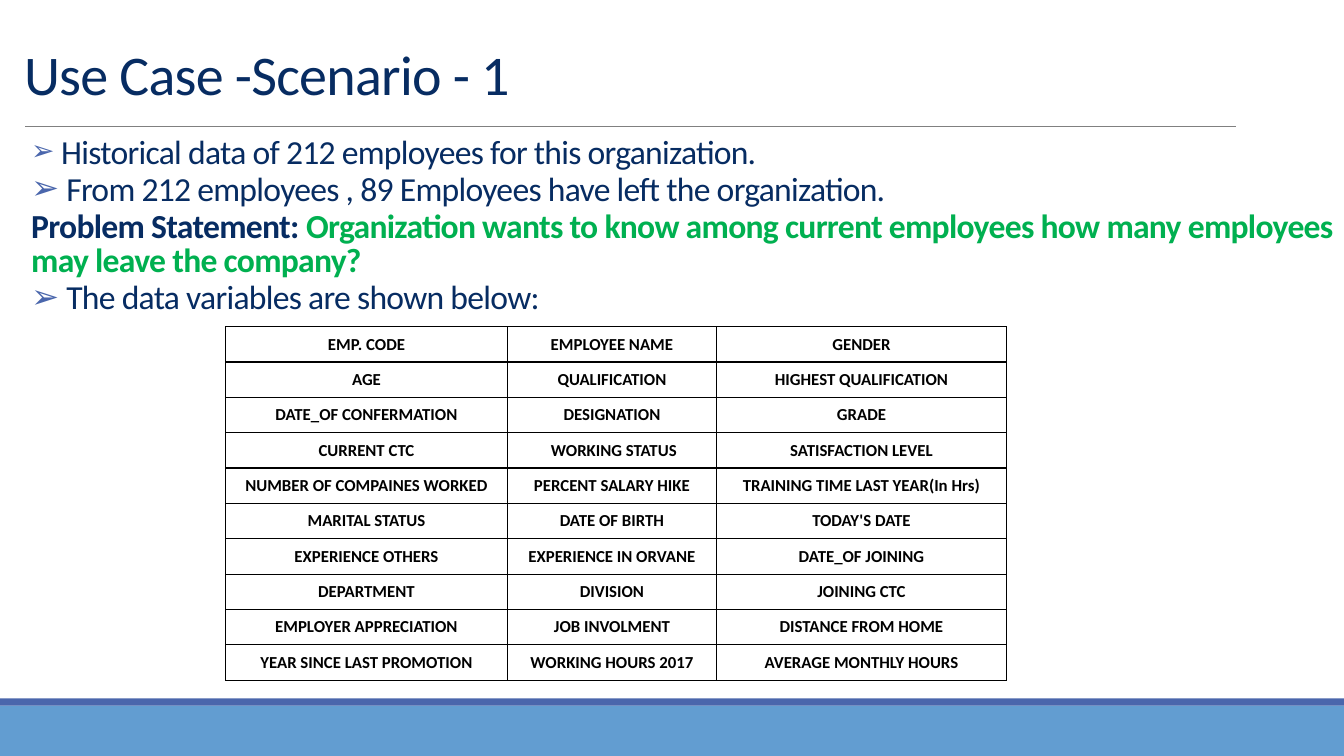
from dataclasses import dataclass

from lxml import etree
from pptx import Presentation
from pptx.dml.color import RGBColor
from pptx.enum.shapes import MSO_CONNECTOR, MSO_SHAPE
from pptx.enum.text import MSO_ANCHOR, PP_ALIGN
from pptx.oxml.ns import qn
from pptx.util import Inches, Pt

RECTANGLE = MSO_SHAPE.RECTANGLE
STRAIGHT = MSO_CONNECTOR.STRAIGHT
TOP, MIDDLE, BOTTOM = MSO_ANCHOR.TOP, MSO_ANCHOR.MIDDLE, MSO_ANCHOR.BOTTOM
CENTER = PP_ALIGN.CENTER

FONT = "Calibri"
NAVY, GREEN, INDIGO, SKY = "072C62", "00B050", "4A66AC", "629DD1"
GRAY, BLACK = "808080", "000000"
BORDER_SIDES = ("a:lnL", "a:lnR", "a:lnT", "a:lnB")


@dataclass(frozen=True)
class Band:
    top: float
    height: float
    color: str


@dataclass(frozen=True)
class Phrase:
    text: str
    size: float = 24
    color: str = NAVY
    bold: bool = False


@dataclass(frozen=True)
class Statement:
    phrases: tuple[Phrase, ...]
    bulleted: bool = True


FOOTER_BANDS = (Band(7, 0.5, SKY), Band(6.93, 0.07, INDIGO))

STATEMENTS = (
    Statement((Phrase(" ", size=20),
               Phrase("Historical data of 212 employees for this organization."))),
    Statement((Phrase(" From 212 employees , 89 Employees have left the organization."),)),
    Statement((Phrase("Problem Statement:", bold=True),
               Phrase(" Organization wants to know among current employees how many "
                      "employees may leave the company?", color=GREEN, bold=True)),
              bulleted=False),
    Statement((Phrase(" The data variables are shown below:"),)),
)

COLUMN_WIDTHS = (2.79, 2.08, 2.87)
ROW_HEIGHT = 0.351
VARIABLES = (
    ("EMP. CODE", "EMPLOYEE NAME", "GENDER"),
    ("AGE", "QUALIFICATION", "HIGHEST QUALIFICATION"),
    ("DATE_OF CONFERMATION", "DESIGNATION", "GRADE"),
    ("CURRENT CTC", " WORKING STATUS", "SATISFACTION LEVEL"),
    ("NUMBER OF COMPAINES WORKED", "PERCENT SALARY HIKE", "TRAINING TIME LAST YEAR(In Hrs)"),
    ("MARITAL STATUS", "DATE OF BIRTH", "TODAY'S DATE"),
    ("EXPERIENCE OTHERS", "EXPERIENCE IN ORVANE", "DATE_OF JOINING"),
    ("DEPARTMENT", "DIVISION", "JOINING CTC"),
    ("EMPLOYER APPRECIATION", "JOB INVOLMENT", "DISTANCE FROM HOME"),
    ("YEAR SINCE LAST PROMOTION", "WORKING HOURS 2017", "AVERAGE MONTHLY HOURS"),
)


def rgb(color: str) -> RGBColor:
    return RGBColor.from_string(color)


def write_text(paragraph, text: str, *, size: float, color: str,
               bold: bool = False, spacing: float = 0) -> None:
    run = paragraph.add_run()
    run.text = text
    run.font.name = FONT
    run.font.size = Pt(size)
    run.font.bold = bold
    run.font.color.rgb = rgb(color)
    if spacing:
        run.font._element.set("spc", str(round(spacing * 100)))


def add_bullet(paragraph) -> None:
    properties = paragraph._p.get_or_add_pPr()
    properties.set("marL", str(Inches(0.1)))
    properties.set("indent", str(Inches(-0.1)))
    bullet_color = etree.SubElement(properties, qn("a:buClr"))
    etree.SubElement(bullet_color, qn("a:srgbClr"), val=INDIGO)
    etree.SubElement(properties, qn("a:buFont"), typeface=FONT)
    etree.SubElement(properties, qn("a:buChar"), char="➢")


def add_frame(slide, left: float, top: float, width: float, height: float,
              *, anchor: MSO_ANCHOR, side_margin: float):
    frame = slide.shapes.add_textbox(
        Inches(left), Inches(top), Inches(width), Inches(height)).text_frame
    frame.word_wrap = True
    frame.vertical_anchor = anchor
    frame.margin_left = frame.margin_right = Inches(side_margin)
    return frame


def draw_band(slide, band: Band, width: int) -> None:
    bar = slide.shapes.add_shape(
        RECTANGLE, 0, Inches(band.top), width, Inches(band.height))
    bar.shadow.inherit = False
    bar.fill.solid()
    bar.fill.fore_color.rgb = rgb(band.color)
    bar.line.fill.background()


def draw_title_rule(slide) -> None:
    rule = slide.shapes.add_connector(
        STRAIGHT, Inches(0.25), Inches(1.25), Inches(12.26), Inches(1.25))
    rule.line.color.rgb = rgb(GRAY)
    rule.line.width = Pt(0.5)
    etree.SubElement(rule._element.spPr, qn("a:effectLst"))


def draw_title(slide) -> None:
    frame = add_frame(slide, 0.14, 0.17, 12.03, 0.94, anchor=BOTTOM, side_margin=0.1)
    title = frame.paragraphs[0]
    title.line_spacing = 0.85
    write_text(title, "Use Case -Scenario - 1", size=40, color=NAVY, spacing=-0.5)


def draw_statements(slide) -> None:
    frame = add_frame(slide, 0.31, 1.31, 13.01, 5.27, anchor=TOP, side_margin=0)
    for index, statement in enumerate(STATEMENTS):
        paragraph = frame.add_paragraph() if index else frame.paragraphs[0]
        paragraph.line_spacing = 0.85
        paragraph.space_after = Pt(2)
        if statement.bulleted:
            add_bullet(paragraph)
        for phrase in statement.phrases:
            write_text(paragraph, phrase.text, size=phrase.size, color=phrase.color,
                       bold=phrase.bold, spacing=-0.5)


def outline_cell(cell) -> None:
    properties = cell._tc.get_or_add_tcPr()
    for side in BORDER_SIDES:
        border = etree.SubElement(properties, qn(side), w=str(Pt(1)))
        fill = etree.SubElement(border, qn("a:solidFill"))
        etree.SubElement(fill, qn("a:srgbClr"), val=BLACK)


def draw_variables(slide) -> None:
    table = slide.shapes.add_table(
        len(VARIABLES), len(COLUMN_WIDTHS), Inches(2.24), Inches(3.24),
        Inches(sum(COLUMN_WIDTHS)), Inches(ROW_HEIGHT * len(VARIABLES))).table
    table.first_row = table.horz_banding = False
    for column, width in zip(table.columns, COLUMN_WIDTHS):
        column.width = Inches(width)
    for row, names in zip(table.rows, VARIABLES):
        row.height = Inches(ROW_HEIGHT)
        for cell, name in zip(row.cells, names):
            cell.margin_left = cell.margin_right = cell.margin_top = cell.margin_bottom = 0
            cell.vertical_anchor = MIDDLE
            outline_cell(cell)
            cell.fill.background()
            paragraph = cell.text_frame.paragraphs[0]
            paragraph.alignment = CENTER
            write_text(paragraph, name, size=12, color=BLACK, bold=True)


def main() -> None:
    deck = Presentation()
    deck.slide_width, deck.slide_height = Inches(13.33), Inches(7.5)
    slide = deck.slides.add_slide(deck.slide_layouts[6])
    for band in FOOTER_BANDS:
        draw_band(slide, band, deck.slide_width)
    draw_title_rule(slide)
    draw_title(slide)
    draw_statements(slide)
    draw_variables(slide)
    deck.save("out.pptx")


if __name__ == "__main__":
    main()
